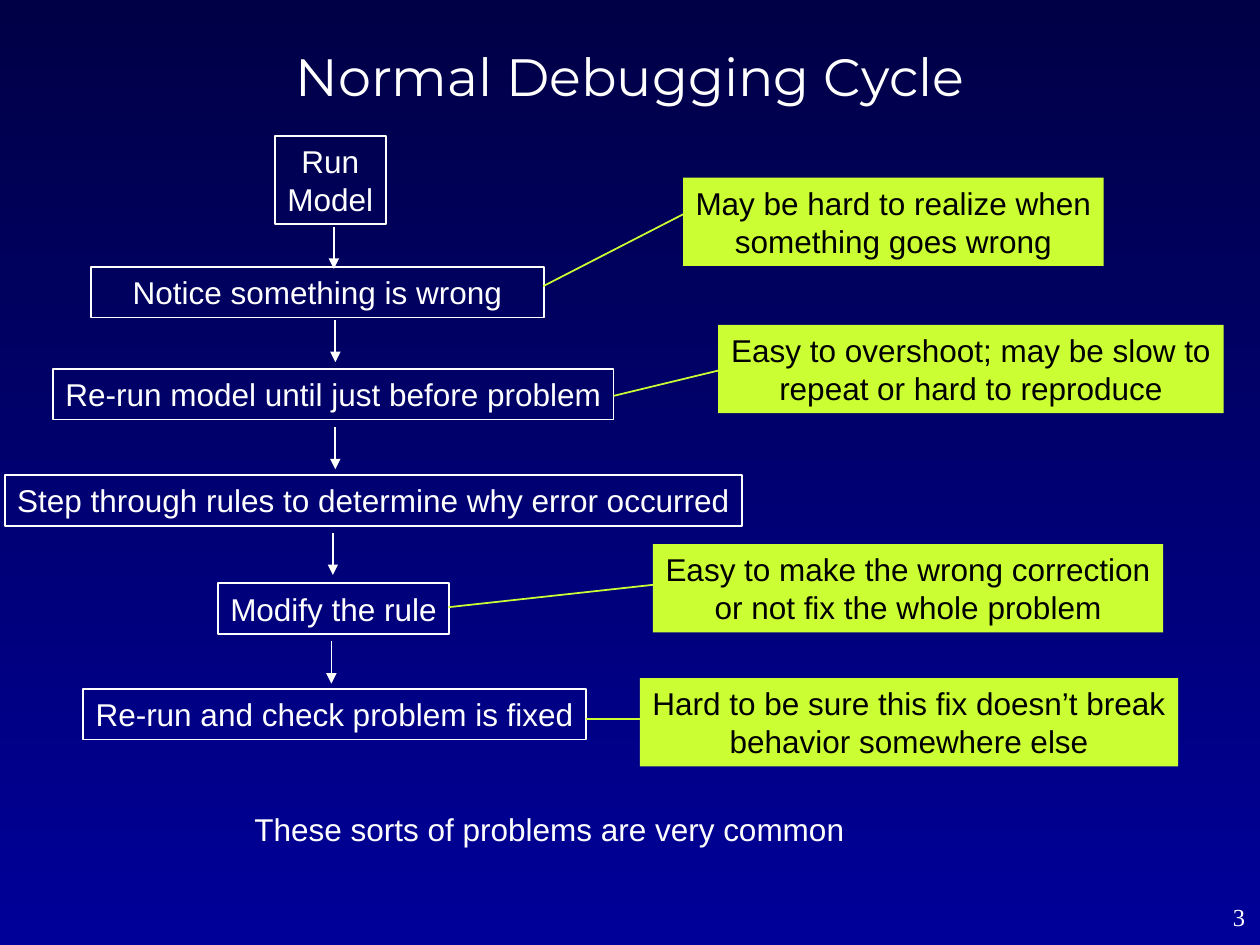
from lxml.etree import SubElement
from pptx import Presentation
from pptx.dml.color import RGBColor
from pptx.enum.shapes import MSO_CONNECTOR, MSO_SHAPE
from pptx.enum.text import MSO_ANCHOR, PP_ALIGN
from pptx.oxml.ns import qn
from pptx.util import Cm, Pt

WHITE, BLACK, LIME = "FFFFFF", "000000", "CCFF33"
NIGHT, NAVY = "000046", "000099"
BODY = {"size": Pt(18), "name": "Arial"}
TITLE = {"size": Pt(30), "name": "Montserrat"}
NUMBER = {"size": Pt(14), "name": "Times New Roman"}
LINE_HEIGHT, PADDING = 0.76, 0.26

STEPS = [
    (5.44, 0, 2.24, ["Run", "Model"]),
    (1.73, 2.64, 9.14, ["Notice something is wrong"]),
    (0.97, 4.7, 11.3, ["Re-run model until just before problem"]),
    (0, 6.84, 14.86, ["Step through rules to determine why error occurred"]),
    (4.29, 9.02, 4.67, ["Modify the rule"]),
    (1.58, 11.15, 10.13, ["Re-run and check problem is fixed"]),
]
ARROWS = [(6.63, 1.83), (6.66, 3.71), (6.66, 5.87), (6.61, 8), (6.58, 10.19)]
ARROW_LENGTH = 0.85
NOTES = [
    (0.87, 0, 8.48, ["May be hard to realize when", "something goes wrong"],
     (-1.95, 2.19, 0.74)),
    (1.58, 2.97, 10.19, ["Easy to overshoot; may be slow to", "repeat or hard to reproduce"],
     (-0.53, 4.4, 3.89)),
    (0.26, 7.39, 10.29, ["Easy to make the wrong correction", "or not fix the whole problem"],
     (-3.86, 8.66, 8.21)),
    (0, 10.09, 10.85, ["Hard to be sure this fix doesn’t break", "behavior somewhere else"],
     (-1.09, 10.92, 10.92)),
]


def color(value):
    return RGBColor.from_string(value)


def write(shape, lines, font_format, font_color, alignment, anchor=MSO_ANCHOR.TOP):
    frame = shape.text_frame
    frame.word_wrap = False
    frame.vertical_anchor = anchor
    frame.text = "\n".join(lines)
    for paragraph in frame.paragraphs:
        paragraph.alignment = alignment
        for name, value in font_format.items():
            setattr(paragraph.font, name, value)
        paragraph.font.color.rgb = color(font_color)


def add_label(slide, box, lines, font_format, alignment, anchor=MSO_ANCHOR.TOP):
    label = slide.shapes.add_textbox(*map(Cm, box))
    write(label, lines, font_format, WHITE, alignment, anchor)


def add_box(slide, left, top, width, lines, font_color):
    height = 2 * PADDING + len(lines) * LINE_HEIGHT - 0.26 * (len(lines) - 1)
    height = 1.02 + LINE_HEIGHT * (len(lines) - 1)
    shape = slide.shapes.add_shape(
        MSO_SHAPE.RECTANGLE, Cm(left), Cm(top), Cm(width), Cm(height))
    shape.shadow.inherit = False
    write(shape, lines, BODY, font_color, PP_ALIGN.CENTER)
    return shape


def add_line(slide, start, end, line_color, arrow=False):
    line = slide.shapes.add_connector(
        MSO_CONNECTOR.STRAIGHT, *map(Cm, (*start, *end)))
    line.line.width = Pt(1)
    line.line.color.rgb = color(line_color)
    if arrow:
        SubElement(line.line._get_or_add_ln(), qn("a:tailEnd"), type="triangle")
    SubElement(line._element.spPr, qn("a:effectLst"))


def add_steps(slide, left, top):
    for x, y, width, lines in STEPS:
        step = add_box(slide, left + x, top + y, width, lines, WHITE)
        step.fill.background()
        step.line.color.rgb = color(WHITE)
        step.line.width = Pt(1)
    for x, y in ARROWS:
        start = (left + x, top + y)
        add_line(slide, start, (start[0], start[1] + ARROW_LENGTH), WHITE, arrow=True)


def add_notes(slide, left, top):
    for x, y, width, lines, (link_x, link_y, note_y) in NOTES:
        note = add_box(slide, left + x, top + y, width, lines, BLACK)
        note.fill.solid()
        note.fill.fore_color.rgb = color(LIME)
        note.line.fill.background()
        add_line(slide, (left + link_x, top + link_y), (left + x, top + note_y), LIME)


def paint_background(slide):
    fill = slide.background.fill
    fill.gradient()
    fill.gradient_angle = 270
    for stop, value in zip(fill.gradient_stops, (NIGHT, NAVY)):
        stop.color.rgb = color(value)


def main():
    presentation = Presentation()
    presentation.slide_width, presentation.slide_height = Cm(25.4), Cm(19.05)
    slide = presentation.slides.add_slide(presentation.slide_layouts[6])
    paint_background(slide)
    add_label(slide, (1.27, 0.76, 22.86, 3.18), ["Normal Debugging Cycle"],
              TITLE, PP_ALIGN.CENTER)
    add_steps(slide, 0.1, 2.74)
    add_notes(slide, 12.9, 3.58)
    add_label(slide, (4.88, 16.21, 12.4, 1.02),
              ["These sorts of problems are very common"], BODY, PP_ALIGN.LEFT)
    add_label(slide, (23.83, 18.08, 1.52, 0.81), ["3"], NUMBER,
              PP_ALIGN.RIGHT, MSO_ANCHOR.MIDDLE)
    presentation.save("out.pptx")


if __name__ == "__main__":
    main()
